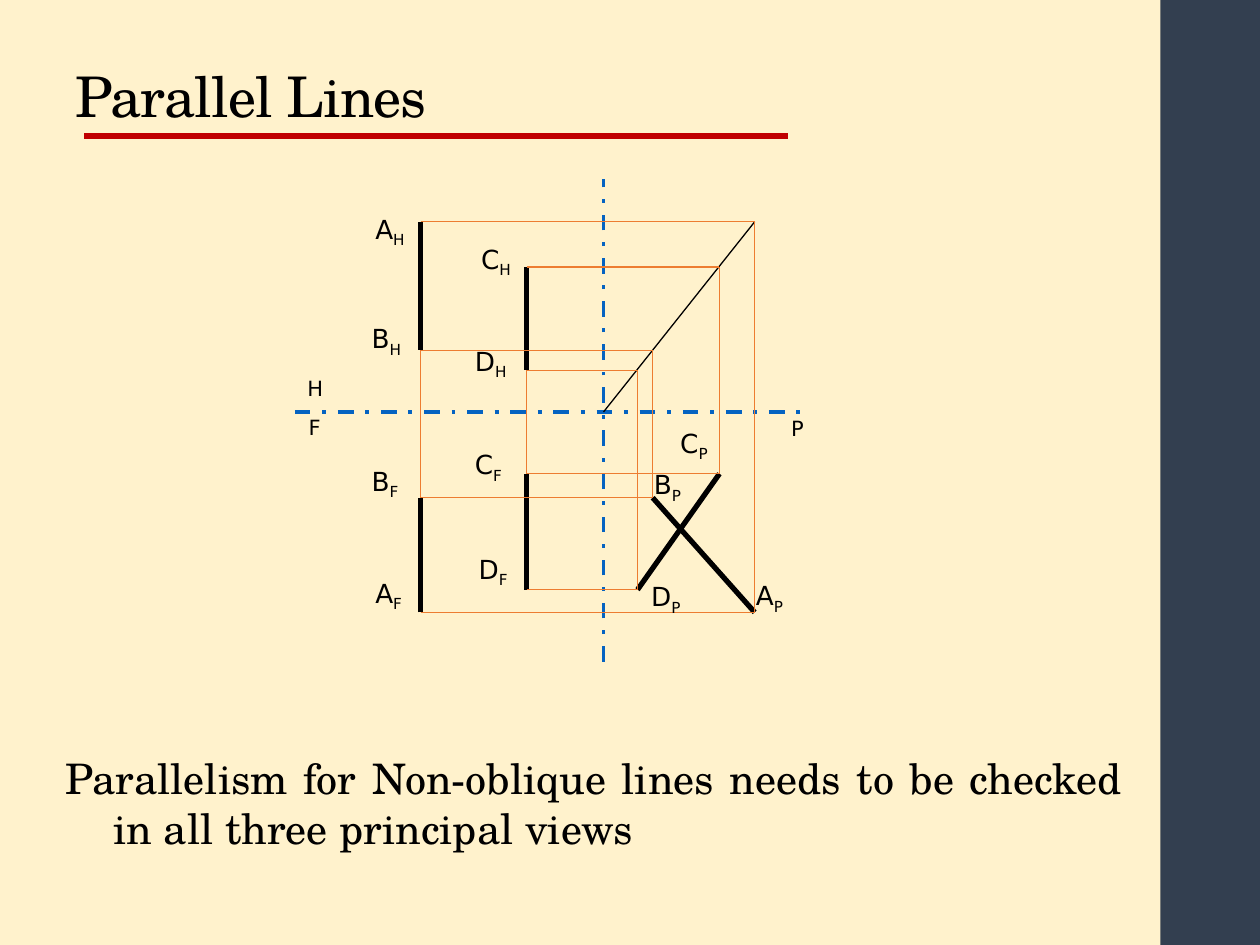
"""Build a slide on parallel lines seen in three principal views."""
from pptx import Presentation, util as u
from pptx.dml.color import RGBColor
from pptx.enum import dml, shapes, text
from lxml import etree

SIZE = (10, 7.5)
CREAM, NAVY, RED, BLUE, ORANGE, BLACK = "FFF2CC", "333F50", "C00000", "0563C1", "ED7D31", "000000"
SERIF, SANS = "TeX Gyre Schola", "DejaVu Sans"
TITLE = "Parallel Lines"
NOTE = "Parallelism for Non-oblique lines needs to be checked in all three principal views"

FOLD_X, FOLD_Y = 4.79, 3.27
FOLDS = [((2.34, FOLD_Y), (6.43, FOLD_Y)), ((FOLD_X, 5.25), (FOLD_X, 1.42))]
POINTS = {
    "A": {"x": 3.34, "H": 1.76, "F": 4.86, "P": 5.99, "front_width": 0.75},
    "B": {"x": 3.34, "H": 2.78, "F": 3.95, "P": 5.18, "front_width": 0.75},
    "C": {"x": 4.18, "H": 2.12, "F": 3.76, "P": 5.71, "front_width": 0.75},
    "D": {"x": 4.18, "H": 2.94, "F": 4.68, "P": 5.06, "front_width": 0.25},
}
SEGMENTS = ["AB", "CD"]
LABELS = [
    ("A", "H", 2.88, 1.64), ("B", "H", 2.85, 2.51), ("C", "H", 3.72, 1.88), ("D", "H", 3.67, 2.69),
    ("A", "F", 2.88, 4.53), ("B", "F", 2.85, 3.64), ("C", "F", 3.67, 3.51), ("D", "F", 3.7, 4.34),
    ("A", "P", 5.9, 4.55), ("B", "P", 5.09, 3.67), ("C", "P", 5.3, 3.34), ("D", "P", 5.07, 4.56),
]
PLANES = [("F", 2.35, 3.24), ("H", 2.34, 2.93), ("P", 6.18, 3.25)]

deck = Presentation()
deck.slide_width, deck.slide_height = map(u.Inches, SIZE)
page = deck.slides.add_slide(deck.slide_layouts[6])


def colour(value):
    return RGBColor.from_string(value)


def add_line(start, end, shade, width, dash=None):
    ends = [u.Inches(value) for value in (*start, *end)]
    line = page.shapes.add_connector(shapes.MSO_CONNECTOR.STRAIGHT, *ends)
    line.line.color.rgb = colour(shade)
    line.line.width = u.Pt(width)
    if dash:
        line.line.dash_style = dash
    properties = line._element.spPr
    etree.SubElement(properties, properties.nsmap["a"].join("{}") + "effectLst")


def add_text(place, spans, size, face, wrap=True):
    box = page.shapes.add_textbox(*map(u.Inches, place))
    box.text_frame.word_wrap = wrap
    para = box.text_frame.paragraphs[0]
    for words in spans:
        span = para.add_run()
        span.text = words
        span.font.size = u.Pt(size)
        span.font.name = face
        span.font.color.rgb = colour(BLACK)
    return box, para


def position(name, view):
    point = POINTS[name]
    return {"H": (point["x"], point["H"]),
            "F": (point["x"], point["F"]),
            "P": (point["P"], point["F"])}[view]


def draw_frame():
    page.background.fill.solid()
    page.background.fill.fore_color.rgb = colour(CREAM)
    band = page.shapes.add_shape(shapes.MSO_SHAPE.RECTANGLE, *map(u.Inches, (9.21, 0, 0.8, SIZE[1])))
    band.shadow.inherit = False
    band.fill.solid()
    band.fill.fore_color.rgb = colour(NAVY)
    band.line.fill.background()
    add_line((0.67, 1.08), (6.25, 1.08), RED, 3)
    box, para = add_text((0.5, 0.08, 7.95, 1), [TITLE], 32, SERIF)
    box.text_frame.vertical_anchor = text.MSO_ANCHOR.BOTTOM
    para.line_spacing = 0.9
    para.runs[0].font._element.set("spc", "-50")


def draw_views():
    for start, end in FOLDS:
        add_line(start, end, BLUE, 2.25, dml.MSO_LINE.DASH_DOT)
    add_line((FOLD_X, FOLD_Y), (POINTS["A"]["P"], POINTS["A"]["H"]), BLACK, 0.75)
    for view in "HFP":
        for first, last in SEGMENTS:
            add_line(position(first, view), position(last, view), BLACK, 3)
    for name, point in POINTS.items():
        corner = (point["P"], point["H"])
        add_line(position(name, "H"), corner, ORANGE, 0.75)
        add_line(corner, position(name, "P"), ORANGE, 0.75)
        add_line(position(name, "F"), position(name, "P"), ORANGE, point["front_width"])
    for segment in SEGMENTS:
        lowest = max((position(name, "H") for name in segment), key=lambda spot: spot[1])
        highest = min((position(name, "F") for name in segment), key=lambda spot: spot[1])
        add_line(lowest, highest, ORANGE, 0.75)


def draw_labels():
    for name, view, left, top in LABELS:
        _, para = add_text((left, top, 0.45, 0.35), [name, view], 15, SANS, False)
        para.runs[1].font._element.set("baseline", "-25000")
    for name, left, top in PLANES:
        add_text((left, top, 0.32, 0.3), [name], 12, SANS, False)


def draw_note():
    _, para = add_text((0.42, 5.92, 8.58, 0.92), [NOTE], 24, SERIF)
    para.alignment = text.PP_ALIGN.JUSTIFY
    indent = u.Inches(0.38)
    properties = para._p.get_or_add_pPr()
    properties.set("marL", str(indent))
    properties.set("indent", str(-indent))


draw_frame()
draw_views()
draw_labels()
draw_note()
deck.save("out.pptx")
